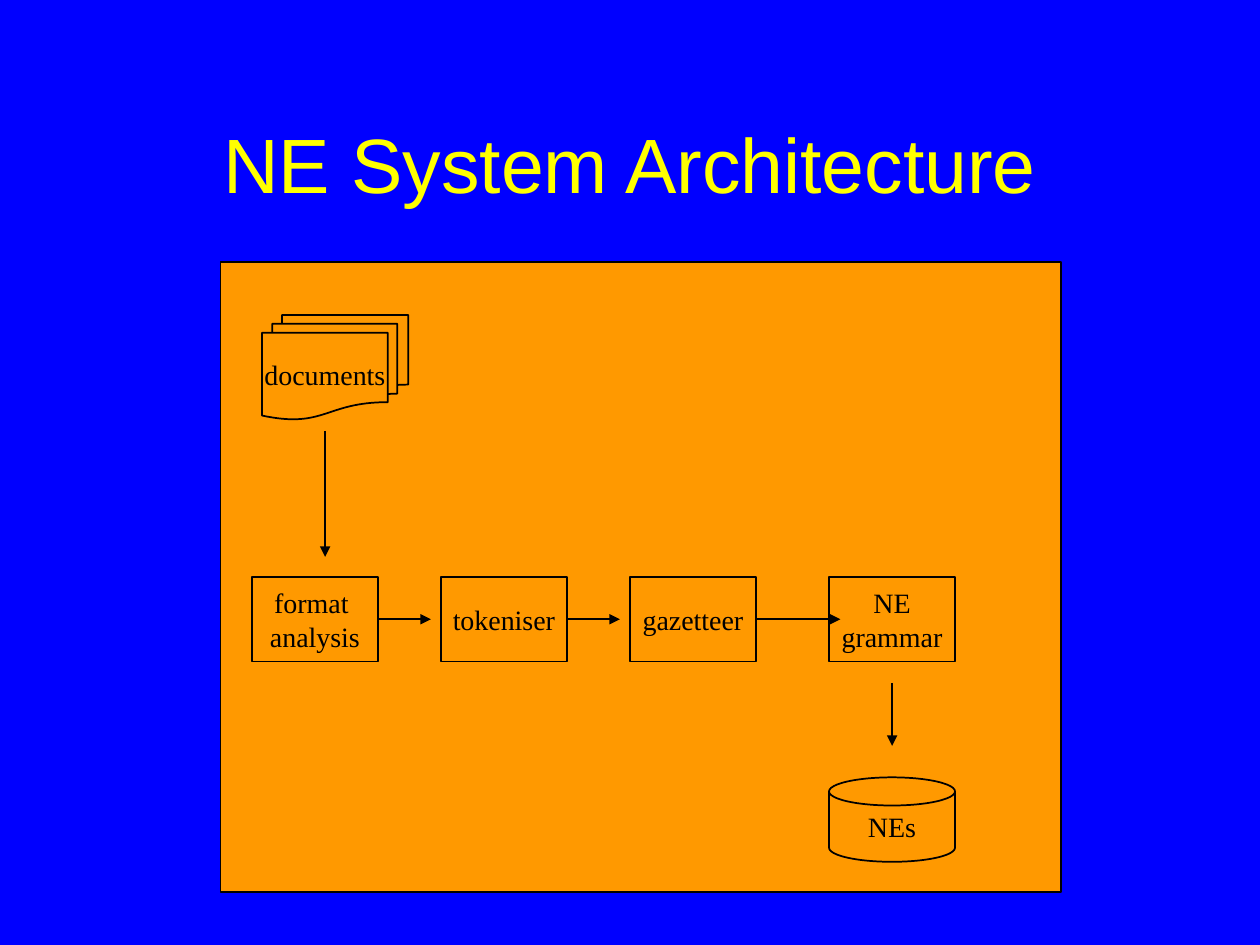
from lxml import etree
from pptx import Presentation
from pptx.dml.color import RGBColor
from pptx.enum.shapes import MSO_CONNECTOR, MSO_SHAPE
from pptx.enum.text import MSO_ANCHOR, MSO_AUTO_SIZE, PP_ALIGN
from pptx.oxml.ns import qn
from pptx.util import Inches, Pt

RECTANGLE = MSO_SHAPE.RECTANGLE
PROCESS = MSO_SHAPE.FLOWCHART_PROCESS
DOCUMENTS = MSO_SHAPE.FLOWCHART_MULTIDOCUMENT
DISK = MSO_SHAPE.FLOWCHART_MAGNETIC_DISK
STRAIGHT = MSO_CONNECTOR.STRAIGHT

BLUE, ORANGE, YELLOW, BLACK = "0000FF", "FF9900", "FFFF00", "000000"
STEP_WIDTH, STEP_HEIGHT = 1, 0.67
STEPS = [
    (0.25, "format \nanalysis"),
    (1.75, "tokeniser"),
    (3.25, "gazetteer"),
    (4.83, "NE\ngrammar"),
]
ARROW_LENGTHS = [0.42, 0.42, 0.67]
FRAME_FORMAT = {
    "vertical_anchor": MSO_ANCHOR.MIDDLE,
    "auto_size": MSO_AUTO_SIZE.NONE,
    "margin_left": Inches(0.1),
    "margin_right": Inches(0.1),
    "margin_top": Inches(0.05),
    "margin_bottom": Inches(0.05),
}


def colour(hex_value):
    return RGBColor.from_string(hex_value)


def set_attributes(target, values):
    for name, value in values.items():
        setattr(target, name, value)


def write_text(frame, text, font_name, size, text_colour, wrap):
    frame.text = text
    set_attributes(frame, {**FRAME_FORMAT, "word_wrap": wrap})
    for paragraph in frame.paragraphs:
        paragraph.alignment = PP_ALIGN.CENTER
        for run in paragraph.runs:
            set_attributes(run.font, {"name": font_name, "size": Pt(size), "bold": False})
            run.font.color.rgb = colour(text_colour)


def add_block(slide, kind, box, text=""):
    block = slide.shapes.add_shape(kind, *map(Inches, box))
    block.shadow.inherit = False
    block.fill.solid()
    block.fill.fore_color.rgb = colour(ORANGE)
    block.line.color.rgb = colour(BLACK)
    block.line.width = Pt(1)
    if text:
        write_text(block.text_frame, text, "Times New Roman", 16, BLACK, False)


def add_arrow(slide, x, y, across=0, down=0):
    ends = (x, y, x + across, y + down)
    arrow = slide.shapes.add_connector(STRAIGHT, *map(Inches, ends))
    arrow.line.color.rgb = colour(BLACK)
    arrow.line.width = Pt(1)
    etree.SubElement(arrow.line._get_or_add_ln(), qn("a:tailEnd"), type="triangle")
    etree.SubElement(arrow._element.spPr, qn("a:effectLst"))


def add_title(slide, box, text):
    title = slide.shapes.title
    left, top, width, height = map(Inches, box)
    set_attributes(title, {"left": left, "top": top, "width": width, "height": height})
    write_text(title.text_frame, text, "Arial", 44, YELLOW, True)


def add_pipeline(slide, box):
    left, top, _, _ = box
    add_block(slide, RECTANGLE, box)

    add_block(slide, DOCUMENTS, (left + 0.33, top + 0.42, 1.16, 0.83), "documents")
    add_arrow(slide, left + 0.83, top + 1.34, down=1)

    step_top = top + 2.5
    for offset, label in STEPS:
        add_block(slide, PROCESS, (left + offset, step_top, STEP_WIDTH, STEP_HEIGHT), label)
    for (offset, _), length in zip(STEPS, ARROW_LENGTHS):
        add_arrow(slide, left + offset + STEP_WIDTH, step_top + STEP_HEIGHT / 2, across=length)

    last_left = left + STEPS[-1][0]
    add_arrow(slide, last_left + STEP_WIDTH / 2, top + 3.34, down=0.5)
    add_block(slide, DISK, (last_left, top + 4.09, STEP_WIDTH, STEP_HEIGHT), "NEs")


def main():
    deck = Presentation()
    deck.slide_width, deck.slide_height = Inches(10), Inches(7.5)
    slide = deck.slides.add_slide(deck.slide_layouts[5])
    slide.background.fill.solid()
    slide.background.fill.fore_color.rgb = colour(BLUE)
    add_title(slide, (0.75, 0.67, 8.5, 1.25), "NE System Architecture")
    add_pipeline(slide, (1.75, 2.08, 6.67, 5))
    deck.save("out.pptx")


if __name__ == "__main__":
    main()
